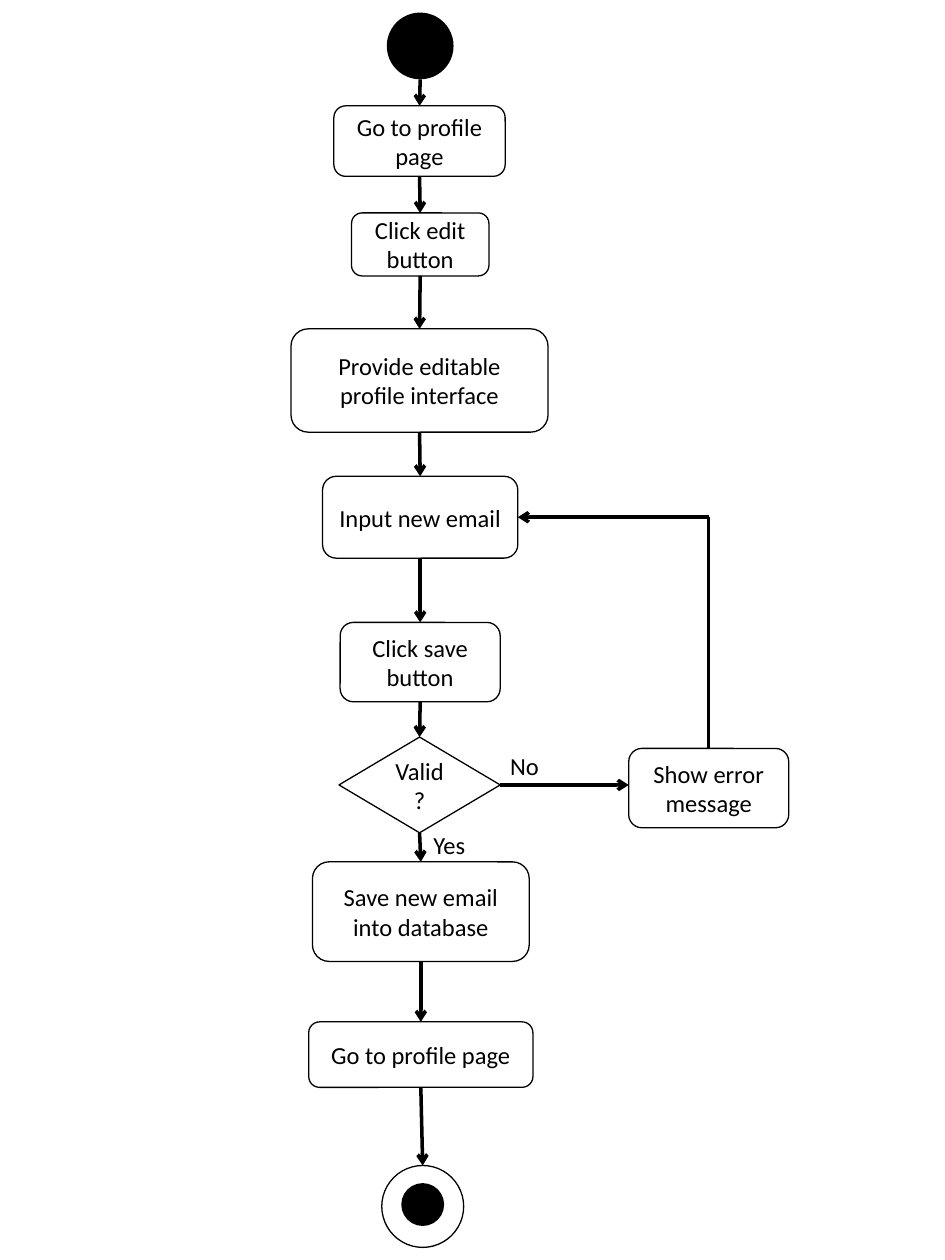
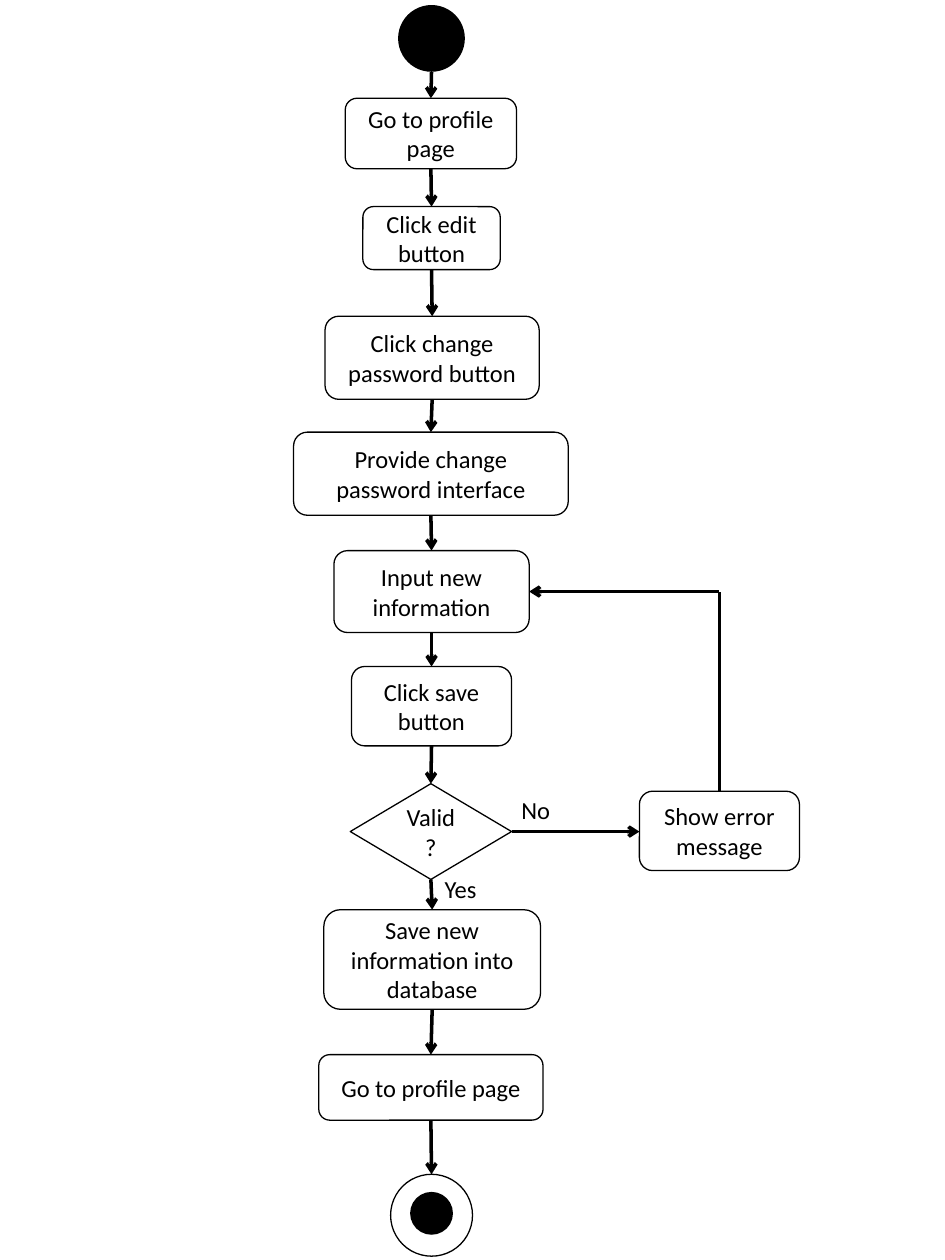
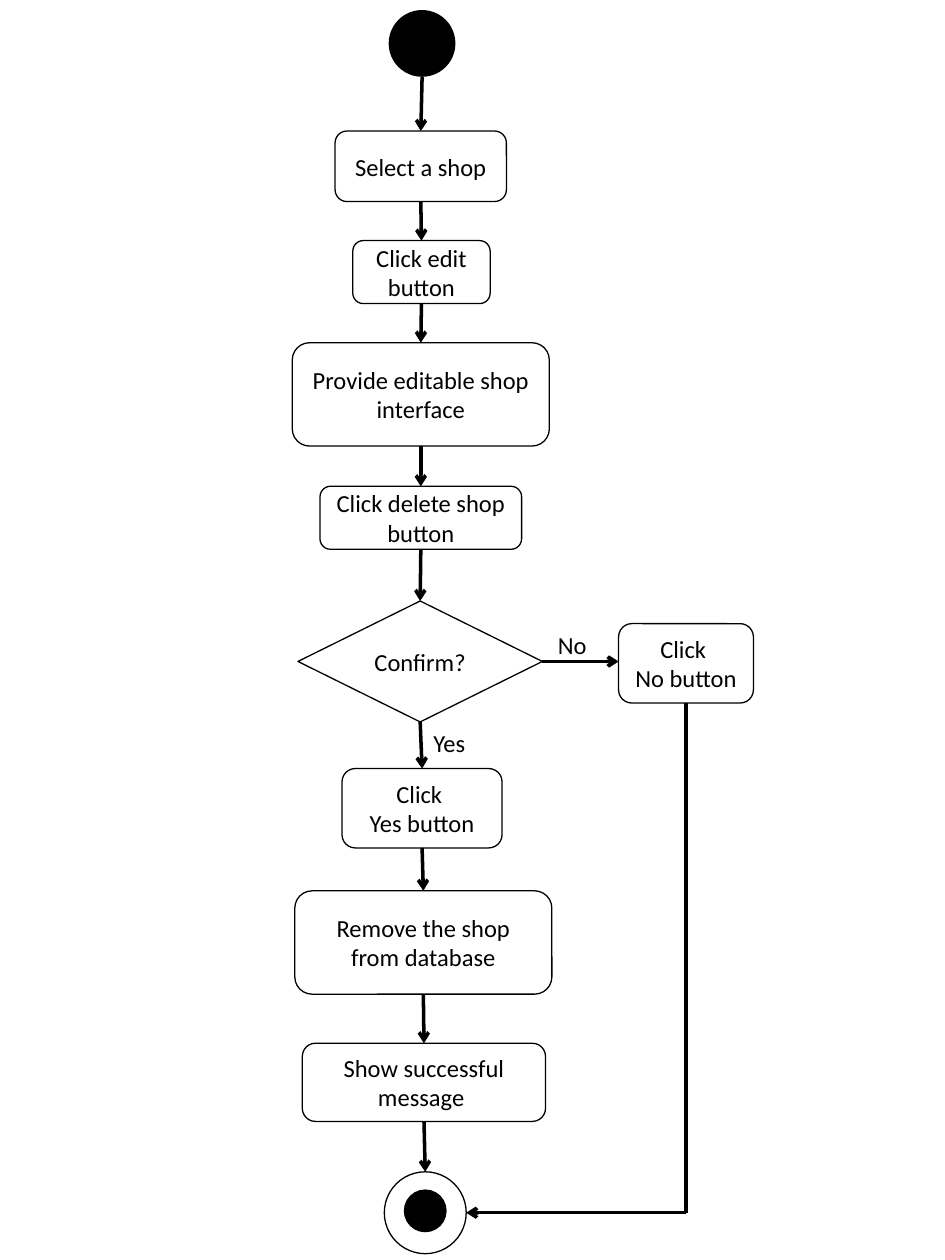
import pptx
import pptx.util
import pptx.dml.color
import pptx.enum.shapes
import pptx.enum.text
import lxml.etree

prs = pptx.Presentation()
prs.slide_width = pptx.util.Inches(7.5)
prs.slide_height = pptx.util.Inches(10)
CELL = prs.slide_width // 75
BLACK, WHITE = "000000", "FFFFFF"
FONT, SIZE = "Calibri", 14
START, END, DOT = 5.3, 6.5, 3.4
MSO = pptx.enum.shapes.MSO_SHAPE
ALIGN = pptx.enum.text.PP_ALIGN
rgb = pptx.dml.color.RGBColor.from_string


def add_node(s, kind, x, y, w, h, text="", fill=WHITE):
    box = [round(v * CELL) for v in (x, y, w, h)]
    if kind is None:
        sp = s.shapes.add_textbox(*box)
    else:
        sp = s.shapes.add_shape(kind, *box)
        sp.shadow.inherit = False
        sp.fill.solid()
        sp.fill.fore_color.rgb = rgb(fill)
        if fill == BLACK:
            sp.line.fill.background()
        else:
            sp.line.color.rgb = rgb(BLACK)
            sp.line.width = pptx.util.Pt(0.75)
    if not text:
        return
    tf = sp.text_frame
    tf.word_wrap = True
    if kind is not None:
        tf.vertical_anchor = pptx.enum.text.MSO_ANCHOR.MIDDLE
    for i, line in enumerate(text.split("\n")):
        p = tf.add_paragraph() if i else tf.paragraphs[0]
        p.alignment = ALIGN.LEFT if kind is None else ALIGN.CENTER
        r = p.add_run()
        r.text = line
        r.font.name = FONT
        r.font.size = pptx.util.Pt(SIZE)
        r.font.color.rgb = rgb(BLACK)


def add_link(s, x1, y1, x2, y2, arrow=True):
    ends = [round(v * CELL) for v in (x1, y1, x2, y2)]
    c = s.shapes.add_connector(pptx.enum.shapes.MSO_CONNECTOR.STRAIGHT, *ends)
    c.line.color.rgb = rgb(BLACK)
    c.line.width = pptx.util.Pt(2)
    ns = pptx.oxml.ns.qn
    if arrow:
        lxml.etree.SubElement(c.line._get_or_add_ln(), ns("a:tailEnd"), type="arrow")
    lxml.etree.SubElement(c._element.spPr, ns("a:effectLst"))


diagrams = [
    {
        "steps": [
            ("start", 33.35, 1, START, START),
            ("Go to profile page", 33.3, 8.4, 13.6, 5.6),
            ("Click edit button", 33.35, 16.9, 10.9, 5),
            ("Provide editable profile interface", 33.3, 26.1, 20.4, 8.2),
            ("Input new email", 33.35, 37.8, 15.5, 6.5),
            ("Click save button", 33.35, 49.4, 12.7, 6.3),
            ("Valid?", 33.3, 58.5, 12.8, 7.6),
            ("Save new email into database", 33.4, 68.4, 17.2, 7.9),
            ("Go to profile page", 33.4, 81.1, 17.8, 5.2),
            ("end", 33.55, 92.5, END, END),
        ],
        "branch": ("Show error message", 56.25, 59.4, 12.7, 6.3),
        "target": "Input new email",
        "yes": (33.4, 65.4),
        "no": (39.5, 59.1),
    },
    {
        "steps": [
            ("start", 34.25, 0.4, START, START),
            ("Go to profile page", 34.2, 7.8, 13.6, 5.6),
            ("Click edit button", 34.25, 16.4, 10.9, 5),
            ("Click change password button", 34.3, 25.1, 17, 6.6),
            ("Provide change password interface", 34.2, 34.3, 21.8, 6.6),
            ("Input new information", 34.25, 43.7, 15.5, 6.5),
            ("Click save button", 34.25, 52.9, 12.7, 6.3),
            ("Valid?", 34.2, 62.2, 12.8, 7.6),
            ("Save new information into database", 34.3, 72.2, 17.2, 7.9),
            ("Go to profile page", 34.2, 83.7, 17.8, 5.2),
            ("end", 34.25, 93.2, END, END),
        ],
        "branch": ("Show error message", 57.1, 62.8, 12.7, 6.3),
        "target": "Input new information",
        "yes": (34.3, 68.9),
        "no": (40.4, 62.6),
    },
    {
        "steps": [
            ("start", 33.5, 0.8, START, START),
            ("Select a shop", 33.4, 10.4, 13.6, 5.6),
            ("Click edit button", 33.45, 19.1, 10.9, 5),
            ("Provide editable shop interface", 33.4, 27.2, 20.4, 8.2),
            ("Click delete shop button", 33.4, 38.6, 16, 5),
            ("Confirm?", 33.35, 47.7, 19.4, 9.6),
            ("Click \nYes button", 33.5, 61, 12.7, 6.3),
            ("Remove the shop from database", 33.6, 70.7, 20.4, 8.2),
            ("Show successful message ", 33.65, 82.8, 19.3, 6.2),
            ("end", 33.75, 93, END, END),
        ],
        "branch": ("Click \nNo button", 54.45, 49.5, 10.7, 6.3),
        "target": "end",
        "yes": (33.4, 57.3),
        "no": (43.3, 49.5),
    },
]

for d in diagrams:
    s = prs.slides.add_slide(prs.slide_layouts[6])
    steps = d["steps"]

    for text, cx, top, w, h in steps + [d["branch"]]:
        x = cx - w / 2
        if text == "start":
            add_node(s, MSO.OVAL, x, top, w, h, fill=BLACK)
        elif text == "end":
            add_node(s, MSO.OVAL, x, top, w, h)
            add_node(s, MSO.OVAL, cx - DOT / 2, top + 1.4, DOT, DOT, fill=BLACK)
        elif text.endswith("?"):
            add_node(s, MSO.FLOWCHART_DECISION, x, top, w, h, text)
            right, middle = cx + w / 2, top + h / 2
        else:
            add_node(s, MSO.ROUNDED_RECTANGLE, x, top, w, h, text)

    for (_, x1, y1, _, h1), (_, x2, y2, _, _) in zip(steps, steps[1:]):
        add_link(s, x1, y1 + h1, x2, y2)

    _, bx, by, bw, bh = d["branch"]
    _, tx, ty, tw, th = next(step for step in steps if step[0] == d["target"])
    level = ty + th / 2
    add_link(s, right, middle, bx - bw / 2, middle)
    add_link(s, bx, by if level < by else by + bh, bx, level, arrow=False)
    add_link(s, bx, level, tx + tw / 2, level)

    add_node(s, None, *d["yes"], 6.5, 3.4, "Yes")
    add_node(s, None, *d["no"], 4.7, 3.4, "No")

prs.save("out.pptx")
